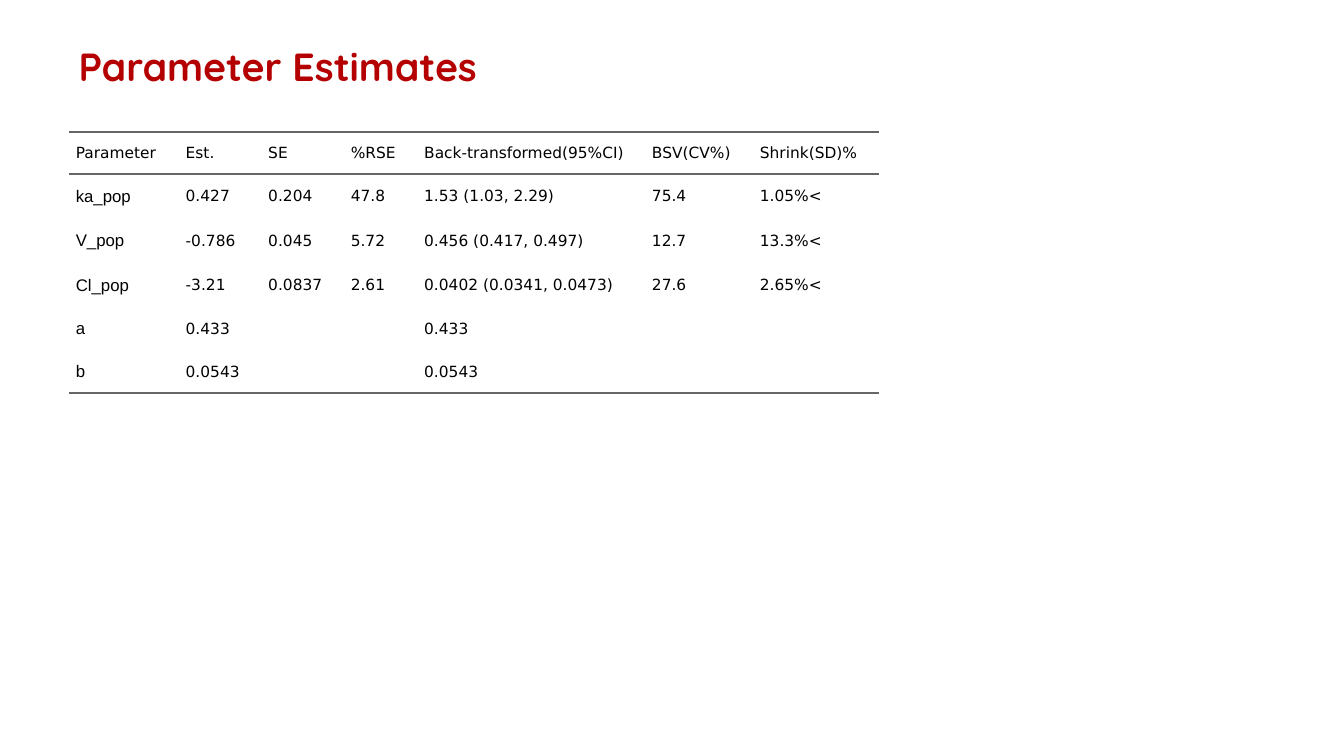
from dataclasses import dataclass

from lxml.etree import SubElement
from pptx import Presentation
from pptx.dml.color import RGBColor
from pptx.enum.text import MSO_ANCHOR as Anchor
from pptx.oxml.ns import qn
from pptx.slide import Slide
from pptx.table import _Cell as Cell
from pptx.text.text import _Paragraph as Para
from pptx.util import Cm, Pt

NO_STYLE = "{2D5ABB26-0587-4C30-8999-92F81FD0307C}"
LEFT, TABLE_TOP = 1.73, 3.33
PADDING = Cm(0.18)
ROW_HEIGHTS = [1.06, 1.12, 1.12, 1.12, 1.08, 1.08]


@dataclass(frozen=True)
class TextStyle:
    name: str
    size: float
    color: str
    bold: bool = False


@dataclass(frozen=True)
class Column:
    heading: str
    width: float
    values: tuple[str, ...]


TITLE = TextStyle("Quicksand", 28, "B40000", bold=True)
FIGURE = TextStyle("DejaVu Sans", 11, "000000")
PARAMETER = TextStyle("Arial", 12, "000000")

COLUMNS = [
    Column("Parameter", 2.77, ("ka_pop", "V_pop", "Cl_pop", "a", "b")),
    Column("Est.", 2.08, ("0.427", "-0.786", "-3.21", "0.433", "0.0543")),
    Column("SE", 2.08, ("0.204", "0.045", "0.0837", "", "")),
    Column("%RSE", 1.85, ("47.8", "5.72", "2.61", "", "")),
    Column("Back-transformed(95%CI)", 5.74,
           ("1.53 (1.03, 2.29)", "0.456 (0.417, 0.497)",
            "0.0402 (0.0341, 0.0473)", "0.433", "0.0543")),
    Column("BSV(CV%)", 2.72, ("75.4", "12.7", "27.6", "", "")),
    Column("Shrink(SD)%", 3.18, ("1.05%<", "13.3%<", "2.65%<", "", "")),
]


def rgb(color: str) -> RGBColor:
    return RGBColor.from_string(color)


def set_format(target: object, values: dict[str, object]) -> None:
    for name, value in values.items():
        setattr(target, name, value)


def add_span(para: Para, text: str, style: TextStyle) -> None:
    span = para.add_run()
    span.text = text
    set_format(span.font, {"name": style.name, "size": Pt(style.size), "bold": style.bold})
    span.font.color.rgb = rgb(style.color)


def add_rule(cell: Cell, side: str) -> None:
    """Draw a border line on the top (lnT) or bottom (lnB) of a cell."""
    line = SubElement(cell._tc.get_or_add_tcPr(), qn(f"a:{side}"), w=str(Pt(1.5)))
    fill = SubElement(line, qn("a:solidFill"))
    SubElement(fill, qn("a:srgbClr"), val="666666")


def fill_cell(cell: Cell, text: str, style: TextStyle) -> None:
    vertical = PADDING if text else 0
    set_format(cell, {
        "margin_left": 0, "margin_right": 0,
        "margin_top": vertical, "margin_bottom": vertical,
        "vertical_anchor": Anchor.MIDDLE,
    })
    cell.fill.background()
    if text:
        para = cell.text_frame.paragraphs[0]
        set_format(para, {"space_before": Pt(5), "space_after": Pt(5)})
        for side in ("marL", "marR"):
            para._p.get_or_add_pPr().set(side, str(PADDING))
        add_span(para, text, style)


def add_title(page: Slide) -> None:
    box = page.shapes.add_textbox(Cm(LEFT), Cm(0.3), Cm(30.4), Cm(2.74))
    set_format(box.text_frame, {"word_wrap": True, "vertical_anchor": Anchor.MIDDLE})
    add_span(box.text_frame.paragraphs[0], "Parameter Estimates", TITLE)


def add_estimates(page: Slide) -> None:
    width = sum(column.width for column in COLUMNS)
    table = page.shapes.add_table(
        len(ROW_HEIGHTS), len(COLUMNS),
        Cm(LEFT), Cm(TABLE_TOP), Cm(width), Cm(sum(ROW_HEIGHTS)),
    ).table
    set_format(table, {"first_row": False, "horz_banding": False})
    table._tbl.tblPr.find(qn("a:tableStyleId")).text = NO_STYLE
    for row, height in zip(table.rows, ROW_HEIGHTS):
        row.height = Cm(height)

    last_row = len(ROW_HEIGHTS) - 1
    for column_index, column in enumerate(COLUMNS):
        table.columns[column_index].width = Cm(column.width)
        for row_index, text in enumerate((column.heading, *column.values)):
            cell = table.cell(row_index, column_index)
            if row_index == 0:
                add_rule(cell, "lnT")
            if row_index in (0, last_row):
                add_rule(cell, "lnB")
            is_parameter = column_index == 0 and row_index > 0
            fill_cell(cell, text, PARAMETER if is_parameter else FIGURE)


def main() -> None:
    deck = Presentation()
    set_format(deck, {"slide_width": Cm(33.87), "slide_height": Cm(19.05)})
    page = deck.slides.add_slide(deck.slide_layouts[6])
    add_title(page)
    add_estimates(page)
    deck.save("out.pptx")


if __name__ == "__main__":
    main()
